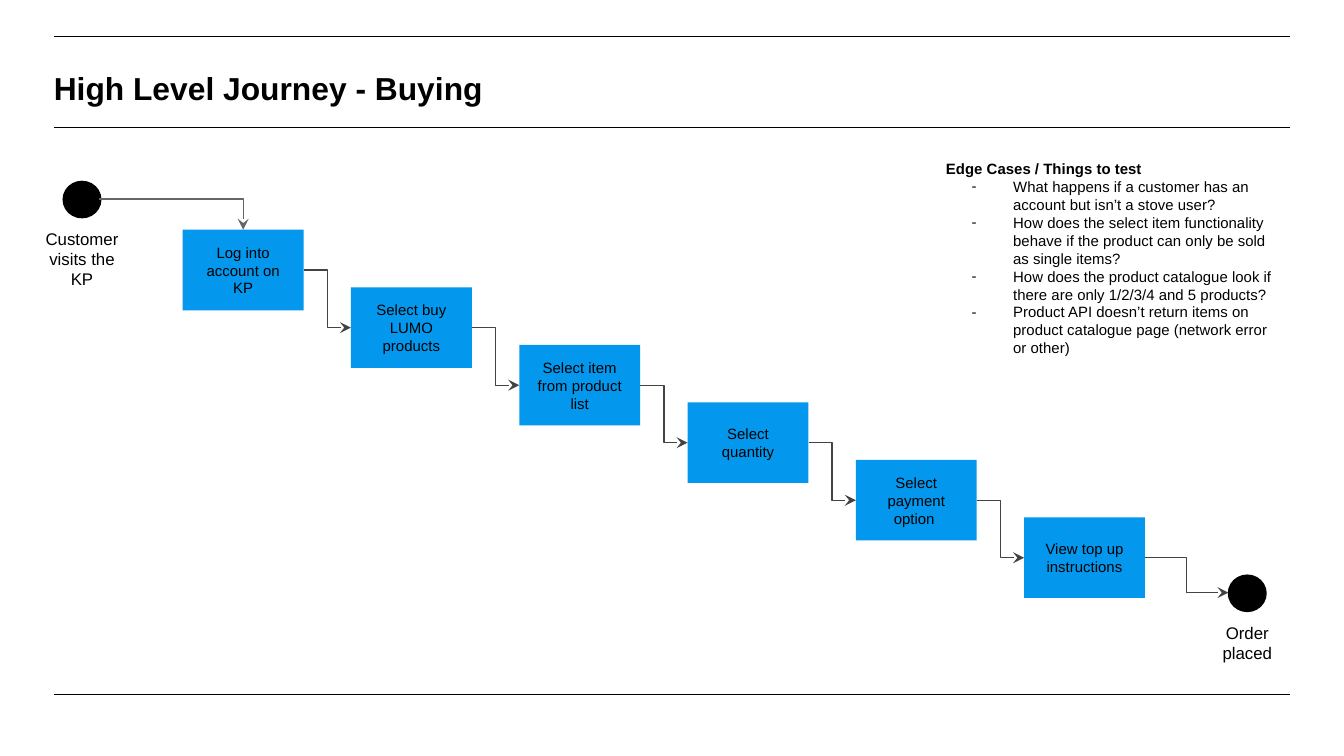
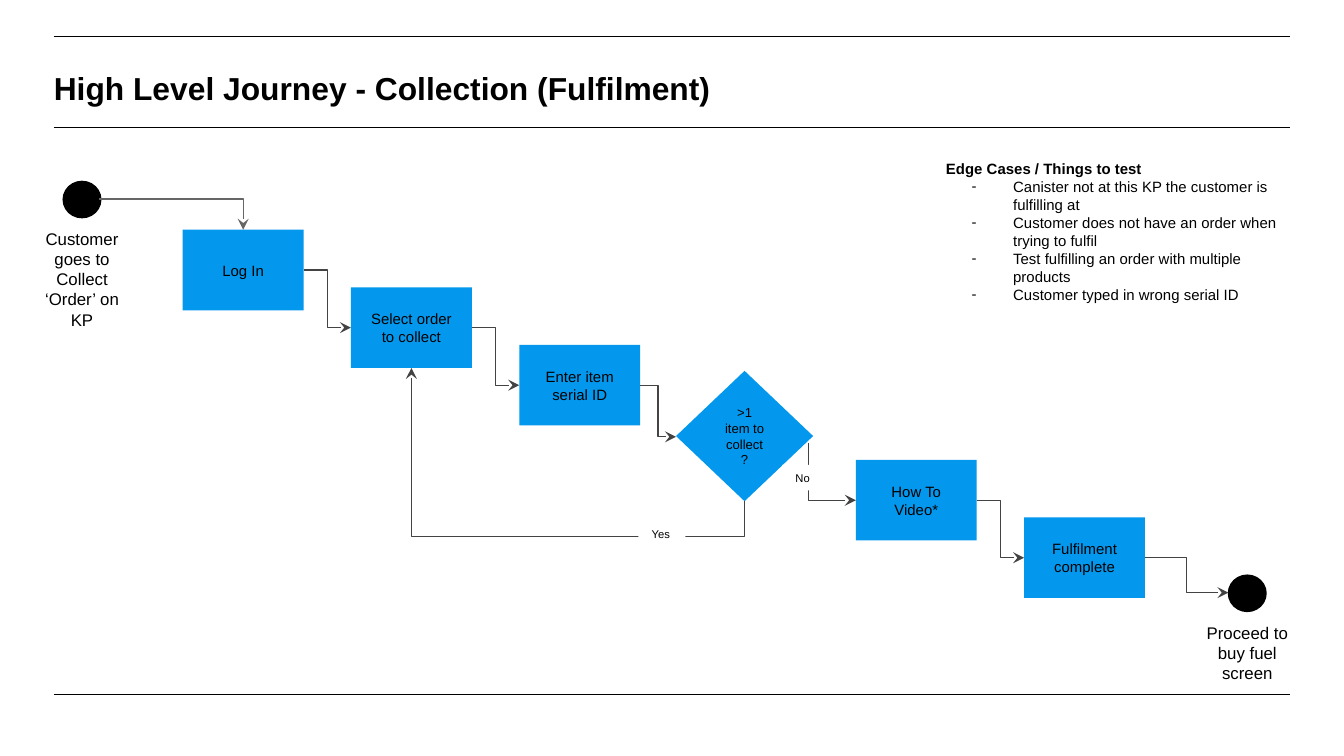
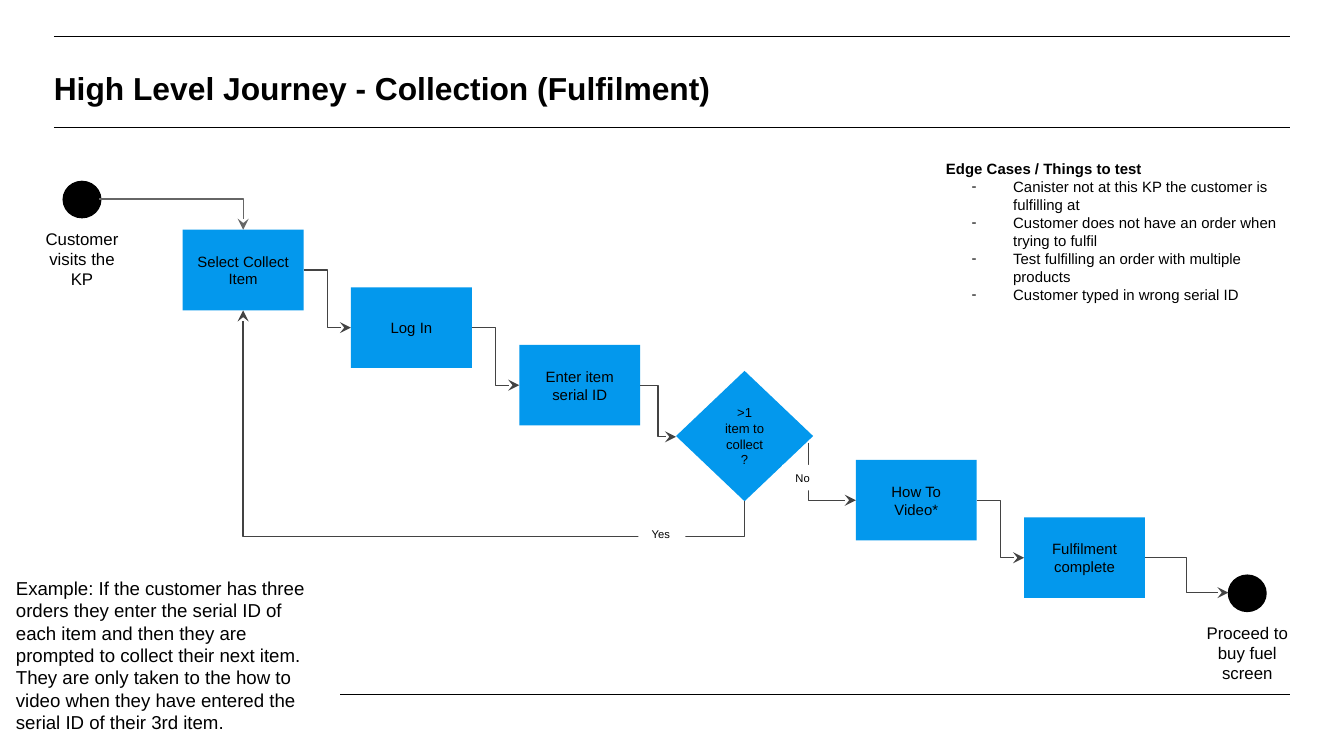
"""Build three customer journey flow slides for buying and collection."""
import dataclasses

import pptx
import pptx.dml.color
import pptx.enum.shapes
import pptx.enum.text
import pptx.oxml.ns
import pptx.util
from lxml import etree

Inches = pptx.util.Inches
Pt = pptx.util.Pt
RGB = pptx.dml.color.RGBColor.from_string
qn = pptx.oxml.ns.qn
SHAPE = pptx.enum.shapes.MSO_SHAPE
CONNECTOR = pptx.enum.shapes.MSO_CONNECTOR
LEFT, CENTER = pptx.enum.text.PP_ALIGN.LEFT, pptx.enum.text.PP_ALIGN.CENTER
TOP, MIDDLE = pptx.enum.text.MSO_ANCHOR.TOP, pptx.enum.text.MSO_ANCHOR.MIDDLE


@dataclasses.dataclass(frozen=True)
class Theme:
    font: str = "Arial"
    ink: str = "000000"
    paper: str = "FFFFFF"
    step: str = "0398ED"
    start_arrow: str = "666666"
    arrow: str = "434343"
    line: float = 0.75
    title: int = 17
    example: int = 10
    caption: int = 9
    body: int = 8
    decision: int = 7
    label: int = 6


T = Theme()


def add_box(s, kind, box, text="", size=T.body, fill=None, align=CENTER,
            anchor=MIDDLE, bold=False, inset=0.1, bullets=()):
    at = [Inches(v) for v in box]
    sp = s.shapes.add_shape(kind, *at) if kind else s.shapes.add_textbox(*at)
    if kind:
        sp.shadow.inherit = False
        sp.fill.solid()
        sp.fill.fore_color.rgb = RGB(fill)
        sp.line.fill.background()
    tf = sp.text_frame
    tf.word_wrap = True
    tf.vertical_anchor = anchor
    tf.margin_left = tf.margin_right = tf.margin_top = tf.margin_bottom = Inches(inset)
    for i, words in enumerate([text, *bullets] if text else []):
        p = tf.add_paragraph() if i else tf.paragraphs[0]
        p.alignment = align
        if i:
            pPr = p._p.get_or_add_pPr()
            pPr.set("marL", str(Inches(0.5)))
            pPr.set("indent", str(-Inches(0.31)))
            color = etree.SubElement(pPr, qn("a:buClr"))
            etree.SubElement(color, qn("a:srgbClr"), val=T.ink)
            etree.SubElement(pPr, qn("a:buSzPts"), val=str(size * 100))
            etree.SubElement(pPr, qn("a:buFont"), typeface=T.font)
            etree.SubElement(pPr, qn("a:buChar"), char="-")
        r = p.add_run()
        r.text = words
        r.font.name = T.font
        r.font.size = Pt(size)
        r.font.bold = bold and i == 0
        r.font.color.rgb = RGB(T.ink)
    return sp


def add_link(s, start, end, color=T.arrow, kind="bentConnector3", rot=0, adj=None):
    (x1, y1), (x2, y2) = start, end
    if rot:
        cx, cy = (x1 + x2) / 2, (y1 + y2) / 2
        w, h = abs(y2 - y1), abs(x2 - x1)
        x1, y1, x2, y2 = cx - w / 2, cy - h / 2, cx + w / 2, cy + h / 2
    c = s.shapes.add_connector(CONNECTOR.STRAIGHT if kind == "line" else CONNECTOR.ELBOW,
                               Inches(x1), Inches(y1), Inches(x2), Inches(y2))
    c.line.color.rgb = RGB(color)
    c.line.width = Pt(T.line)
    spPr = c._element.spPr
    etree.SubElement(spPr, qn("a:effectLst"))
    if kind == "line":
        return
    etree.SubElement(spPr.find(qn("a:ln")), qn("a:tailEnd"), type="stealth")
    geom = spPr.find(qn("a:prstGeom"))
    geom.set("prst", kind)
    if rot:
        xfrm = spPr.find(qn("a:xfrm"))
        xfrm.set("rot", str(rot * 60000))
        xfrm.set("flipH", "1")
    if adj is not None:
        etree.SubElement(geom.find(qn("a:avLst")), qn("a:gd"),
                         name="adj1", fmla=f"val {round(adj * 100000)}")


COLLECT_CASES = [
    "Canister not at this KP the customer is fulfilling at",
    "Customer does not have an order when trying to fulfil",
    "Test fulfilling an order with multiple products",
    "Customer typed in wrong serial ID",
]
DECISION = ">1 item to collect?"
COLLECT_END = ["Enter item serial ID", DECISION, "How To Video*", "Fulfilment complete"]
JOURNEYS = [
    dict(title="High Level Journey - Buying",
         start="Customer visits the KP", end="Order placed",
         steps=["Log into account on KP", "Select buy LUMO products",
                "Select item from product list", "Select quantity",
                "Select payment option ", "View top up instructions"],
         cases=["What happens if a customer has an account but isn’t a stove user?",
                "How does the select item functionality behave if the product can "
                "only be sold as single items?",
                "How does the product catalogue look if there are only 1/2/3/4 and "
                "5 products?",
                "Product API doesn’t return items on product catalogue page (network "
                "error or other)"]),
    dict(title="High Level Journey - Collection (Fulfilment)",
         start="Customer goes to Collect ‘Order’ on KP", end="Proceed to buy fuel screen",
         steps=["Log In", "Select order to collect", *COLLECT_END],
         cases=COLLECT_CASES, loop_to=1),
    dict(title="High Level Journey - Collection (Fulfilment)",
         start="Customer visits the KP", end="Proceed to buy fuel screen",
         steps=["Select Collect Item", "Log In", *COLLECT_END],
         cases=COLLECT_CASES, loop_to=0,
         example="Example: If the customer has three orders they enter the serial ID of "
                 "each item and then they are prompted to collect their next item. They "
                 "are only taken to the how to video when they have entered the serial "
                 "ID of their 3rd item."),
]

STEP_W, STEP_H = 0.9, 0.6
FIRST, LAST = (1.36, 1.71), (7.62, 3.85)
CORNERS = [tuple(a + (b - a) * i / 5 for a, b in zip(FIRST, LAST)) for i in range(6)]
INS = [(x, y + STEP_H / 2) for x, y in CORNERS]
OUTS = [(x + STEP_W, y) for x, y in INS]
DIAMOND = (5.03, 2.76, 1.02, 0.97)
DIAMOND_IN = (5.03, 3.25)
DIAMOND_FOOT = (5.54, 3.73)
LOOP_Y = 3.99

prs = pptx.Presentation()
prs.slide_width, prs.slide_height = Inches(10), Inches(10 * 9 / 16)

for journey in JOURNEYS:
    s = prs.slides.add_slide(prs.slide_layouts[6])
    steps = journey["steps"]
    for y in (5.17, 0.27, 0.95):
        add_link(s, (0.4, y), (9.6, y), T.ink, "line")
    add_box(s, None, (0.4, 0.39, 9.19, 0.53), journey["title"], T.title,
            align=LEFT, bold=True, inset=0)

    for (x, y), step in zip(CORNERS, steps):
        if step != DECISION:
            add_box(s, SHAPE.RECTANGLE, (x, y, STEP_W, STEP_H), step, fill=T.step)

    for x, y, caption in ((0.47, 1.35, journey["start"]), (9.14, 4.28, journey["end"])):
        sp = add_box(s, SHAPE.OVAL, (x, y, 0.28, 0.27), fill=T.ink)
        sp.line.color.rgb = RGB(T.ink)
        sp.line.width = Pt(T.line)
        add_box(s, None, (x - 0.27, y + 0.25, 0.82, 0.27), caption, T.caption, anchor=TOP)

    add_link(s, (0.74, 1.48), (FIRST[0] + STEP_W / 2, FIRST[1]),
             T.start_arrow, "bentConnector2")
    for i in range(5):
        if steps[i] == DECISION:
            add_link(s, OUTS[i], INS[i + 1], kind="bentConnector2", rot=270)
        else:
            add_link(s, OUTS[i], DIAMOND_IN if steps[i + 1] == DECISION else INS[i + 1])
    add_link(s, OUTS[5], (9.14, 4.41))

    if DECISION in steps:
        add_box(s, SHAPE.DIAMOND, DIAMOND, DECISION, T.decision, T.step)
        x, y = CORNERS[journey["loop_to"]]
        target = (x + STEP_W / 2, y + STEP_H)
        add_link(s, DIAMOND_FOOT, target, rot=90,
                 adj=(DIAMOND_FOOT[1] - LOOP_Y) / (DIAMOND_FOOT[1] - target[1]))
        add_box(s, SHAPE.RECTANGLE, (4.75, 3.82, 0.35, 0.22), "Yes", T.label,
                T.paper, LEFT, TOP)
        add_box(s, SHAPE.RECTANGLE, (5.82, 3.46, 0.35, 0.19), "No", T.label,
                T.paper, LEFT)

    add_box(s, None, (6.94, 1.09, 2.71, 1.68), "Edge Cases / Things to test",
            align=LEFT, anchor=TOP, bold=True, bullets=journey["cases"])
    if "example" in journey:
        add_box(s, SHAPE.RECTANGLE, (0.02, 4.19, 2.51, 1.38), journey["example"],
                T.example, T.paper, LEFT, TOP)

prs.save("out.pptx")
